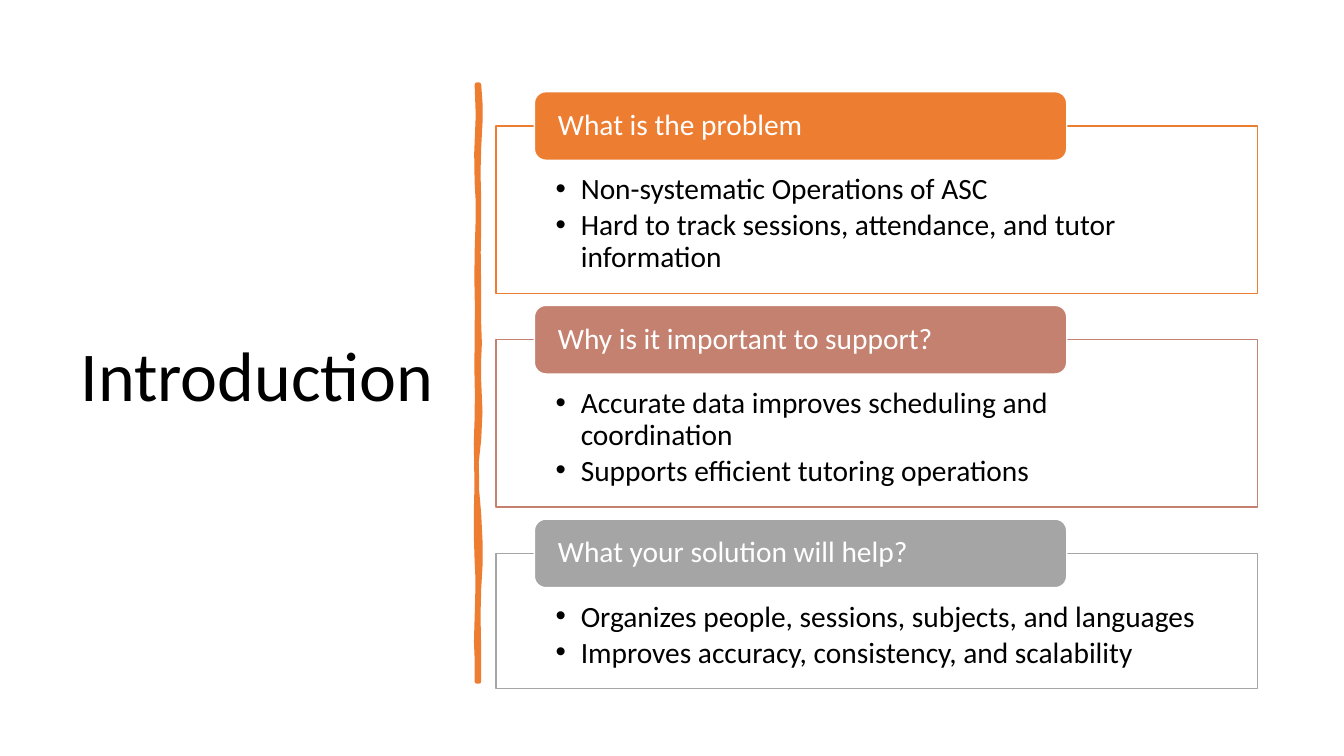
from lxml import etree
from pptx import Presentation
from pptx.dml.color import RGBColor
from pptx.enum import shapes, text
from pptx.oxml import ns
from pptx.util import Inches, Pt

COLORS = {
    "black": "000000",
    "white": "FFFFFF",
    "orange": "ED7D31",
    "rose": "C48170",
    "gray": "A5A5A5",
}
FONT = "Calibri"

# Cubic segments of the brush stroke: control 1, control 2, end (inches)
STROKE_START = (4.75, 0.84)
STROKE_CURVES = [
    ((4.77, 1.02), (4.77, 1.19), (4.75, 1.46)),
    ((4.73, 1.73), (4.76, 1.95), (4.75, 2.26)),
    ((4.74, 2.57), (4.75, 2.62), (4.75, 2.94)),
    ((4.74, 3.25), (4.77, 3.42), (4.75, 3.56)),
    ((4.73, 3.70), (4.79, 4.14), (4.75, 4.36)),
    ((4.71, 4.57), (4.72, 4.84), (4.75, 5.10)),
    ((4.77, 5.36), (4.77, 5.64), (4.75, 5.84)),
    ((4.73, 6.03), (4.76, 6.50), (4.75, 6.76)),
    ((4.74, 6.76), (4.73, 6.76), (4.73, 6.76)),
    ((4.74, 6.46), (4.71, 6.44), (4.73, 6.13)),
    ((4.74, 5.83), (4.74, 5.70), (4.73, 5.57)),
    ((4.72, 5.44), (4.72, 4.95), (4.73, 4.77)),
    ((4.73, 4.59), (4.71, 4.45), (4.73, 4.15)),
    ((4.74, 3.86), (4.72, 3.73), (4.73, 3.35)),
    ((4.74, 2.98), (4.72, 2.81), (4.73, 2.50)),
    ((4.74, 2.18), (4.75, 2.00), (4.73, 1.81)),
    ((4.70, 1.63), (4.77, 1.04), (4.73, 0.84)),
]

SECTIONS = [
    ("What is the problem", "orange", 1.66,
     ["Non-systematic Operations of ASC",
      "Hard to track sessions, attendance, and tutor information"]),
    ("Why is it important to support?", "rose", 1.66,
     ["Accurate data improves scheduling and coordination",
      "Supports efficient tutoring operations"]),
    ("What your solution will help?", "gray", 1.34,
     ["Organizes people, sessions, subjects, and languages",
      "Improves accuracy, consistency, and scalability"]),
]
HEADING_DROP = 0.34  # how far a section's frame starts below its heading's top
SECTION_GAP = 0.12


def rgb(name):
    return RGBColor.from_string(COLORS[name])


def paint(shape, fill, line, width):
    shape.shadow.inherit = False
    shape.fill.solid()
    shape.fill.fore_color.rgb = rgb(fill)
    shape.line.color.rgb = rgb(line)
    shape.line.width = Pt(width)


def set_up_frame(frame, anchor, left, top, right, bottom):
    frame.word_wrap = True
    frame.vertical_anchor = anchor
    frame.margin_left, frame.margin_top = Inches(left), Inches(top)
    frame.margin_right, frame.margin_bottom = Inches(right), Inches(bottom)


def write(paragraph, words, size, color):
    paragraph.alignment = text.PP_ALIGN.LEFT
    paragraph.line_spacing = 0.9
    run = paragraph.add_run()
    run.text = words
    run.font.name = FONT
    run.font.size = Pt(size)
    run.font.color.rgb = rgb(color)


def add_bullet(paragraph):
    properties = paragraph._p.get_or_add_pPr()
    properties.set("marL", str(Inches(0.25)))
    properties.set("indent", str(Inches(-0.25)))
    font = etree.SubElement(properties, ns.qn("a:buFont"))
    font.set("typeface", "Arial")
    etree.SubElement(properties, ns.qn("a:buChar")).set("char", "•")


def add_title(slide, left, top, width, height):
    title = slide.shapes.add_textbox(
        Inches(left), Inches(top), Inches(width), Inches(height))
    set_up_frame(title.text_frame, text.MSO_ANCHOR.MIDDLE, 0.1, 0.05, 0.1, 0.05)
    write(title.text_frame.paragraphs[0], "Introduction", 50, "black")


def curve_points(start, curves, steps=3):
    """Return points along a chain of cubic curves, in EMU, without the start."""
    points = []
    for first, second, end in curves:
        for step in range(1, steps + 1):
            t = step / steps
            points.append(tuple(
                Inches((1 - t) ** 3 * a + 3 * (1 - t) ** 2 * t * b
                       + 3 * (1 - t) * t ** 2 * c + t ** 3 * d)
                for a, b, c, d in zip(start, first, second, end)))
        start = end
    return points


def add_brush_stroke(slide):
    start_x, start_y = STROKE_START
    builder = slide.shapes.build_freeform(Inches(start_x), Inches(start_y))
    builder.add_line_segments(curve_points(STROKE_START, STROKE_CURVES), close=True)
    stroke = builder.convert_to_shape()
    paint(stroke, "orange", "orange", 3.25)
    outline = stroke._element.spPr.find(ns.qn("a:ln"))
    etree.SubElement(outline, ns.qn("a:round"))


def add_section(slide, left, top, width, height, heading, color, bullets):
    """Place a framed bullet list with its heading over the frame's top edge."""
    body = slide.shapes.add_shape(
        shapes.MSO_SHAPE.RECTANGLE, Inches(left), Inches(top + HEADING_DROP),
        Inches(width), Inches(height))
    paint(body, "white", color, 1)
    fill_color = body._element.spPr.find(ns.qn("a:solidFill"))[0]
    etree.SubElement(fill_color, ns.qn("a:alpha")).set("val", "90000")
    frame = body.text_frame
    set_up_frame(frame, text.MSO_ANCHOR.TOP, 0.59, 0.48, 0.59, 0.16)
    for index, bullet in enumerate(bullets):
        paragraph = frame.add_paragraph() if index else frame.paragraphs[0]
        paragraph.level = 1
        paragraph.space_after = Pt(3)
        write(paragraph, bullet, 21, "black")
        add_bullet(paragraph)

    label = slide.shapes.add_shape(
        shapes.MSO_SHAPE.ROUNDED_RECTANGLE, Inches(left + 0.38), Inches(top),
        Inches(5.28), Inches(0.68))
    paint(label, color, "white", 1)
    set_up_frame(label.text_frame, text.MSO_ANCHOR.MIDDLE, 0.2, 0, 0.2, 0)
    write(label.text_frame.paragraphs[0], heading, 21, "white")


def add_sections(slide, left, top, width):
    for heading, color, height, bullets in SECTIONS:
        add_section(slide, left, top, width, height, heading, color, bullets)
        top += HEADING_DROP + height + SECTION_GAP


def main():
    deck = Presentation()
    deck.slide_width, deck.slide_height = Inches(13.33), Inches(7.5)
    slide = deck.slides.add_slide(deck.slide_layouts[6])
    add_title(slide, 0.7, 0.7, 3.74, 6.11)
    add_brush_stroke(slide)
    add_sections(slide, 4.92, 0.91, 7.55)
    deck.save("out.pptx")


if __name__ == "__main__":
    main()
